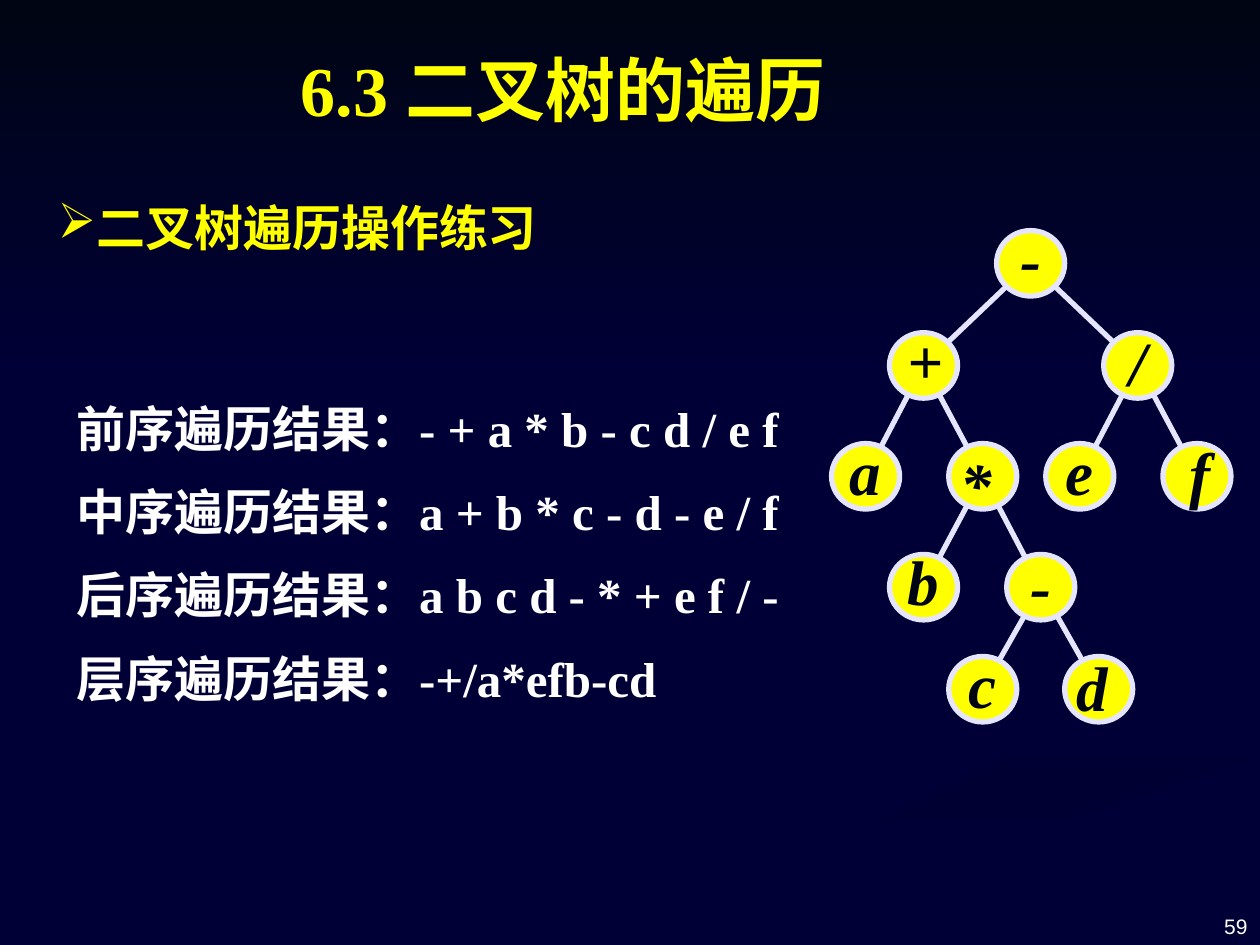
from typing import NamedTuple

from lxml import etree
from pptx import Presentation
from pptx.dml.color import RGBColor
from pptx.enum.shapes import MSO_CONNECTOR, MSO_SHAPE
from pptx.enum.text import MSO_ANCHOR, PP_ALIGN
from pptx.oxml.ns import qn
from pptx.util import Inches, Pt

LINE, OVAL = MSO_CONNECTOR.STRAIGHT, MSO_SHAPE.OVAL
TOP, MIDDLE, BOTTOM = MSO_ANCHOR.TOP, MSO_ANCHOR.MIDDLE, MSO_ANCHOR.BOTTOM
LEFT, CENTER, RIGHT = PP_ALIGN.LEFT, PP_ALIGN.CENTER, PP_ALIGN.RIGHT
JUSTIFY = PP_ALIGN.JUSTIFY
SERIF, SANS = "Times New Roman", "Arial"
NAVY, INK, YELLOW, WHITE, PALE = "000036", "000514", "FFFF00", "FFFFFF", "E5E5FF"
WIDE, HIGH = 0.54, 0.52
INSET = 0.13


class Wave(NamedTuple):
    start: str
    points: list[tuple[float, float]]


class Node(NamedTuple):
    text: str
    left: float
    level: int
    root: int | None
    shift: float = 0
    rise: float = 0.14


class Style(NamedTuple):
    size: float
    font: str
    color: str
    bold: bool = True
    italic: bool = False


WAVES = [
    Wave("000032", [(5.03, 7.49), (5.71, 7.49), (7.22, 6.82), (9.98, 6.09),
                    (9.98, 5.81), (7.64, 6.47), (5.99, 7.06)]),
    Wave(INK, [(0, 0), (0, 3.08), (10, 3.08), (10, 0)]),
]
LEVELS = [1.83, 2.64, 3.52, 4.4, 5.21]
NODES = [
    Node("-", 7.91, 0, None),
    Node("+", 7.06, 1, 0),
    Node("/", 8.76, 1, 0, rise=0.12),
    Node("a", 6.6, 2, 1),
    Node("*", 7.53, 2, 1, -0.05, 0.04),
    Node("e", 8.3, 2, 2),
    Node("f", 9.23, 2, 2, 0.02, 0.12),
    Node("b", 7.06, 3, 4),
    Node("-", 7.99, 3, 4, rise=0.11),
    Node("c", 7.53, 4, 8),
    Node("d", 8.45, 4, 8, -0.05, 0.11),
]
ORDERS = [
    "前序遍历结果：- + a * b - c d / e f",
    "中序遍历结果：a + b * c - d - e / f",
    "后序遍历结果：a b c d - * + e f / -",
    "层序遍历结果：-+/a*efb-cd",
]


def rgb(code: str) -> RGBColor:
    return RGBColor.from_string(code)


def add_wave(shapes, wave: Wave) -> None:
    """Draw a borderless outline that fades downwards into the background."""
    pen = shapes.build_freeform(*wave.points[0], scale=Inches(1))
    pen.add_line_segments(wave.points[1:], close=True)
    shape = pen.convert_to_shape()
    shape.shadow.inherit = False
    shape.line.fill.background()
    shape.fill.gradient()
    shape.fill.gradient_angle = 270
    for stop, code in zip(shape.fill.gradient_stops, (wave.start, NAVY)):
        stop.color.rgb = rgb(code)


def add_text(shapes, box, lines: list[str], style: Style, align=LEFT,
             anchor=TOP, wrap: bool = True, indent: float = 0,
             bullet: str = "") -> None:
    frame = shapes.add_textbox(*map(Inches, box)).text_frame
    frame.word_wrap = wrap
    frame.vertical_anchor = anchor
    for i, line in enumerate(lines):
        para = frame.paragraphs[0] if i == 0 else frame.add_paragraph()
        para.alignment = align
        if i:
            para.space_before = Pt(style.size / 2)
        props = para._p.get_or_add_pPr()
        if indent:
            props.set("marL", str(Inches(indent)))
            props.set("indent", "0")
        if bullet:
            etree.SubElement(props, qn("a:buChar")).set("char", bullet)
        run = para.add_run()
        run.text = line
        font = run.font
        font.size, font.name = Pt(style.size), style.font
        font.bold, font.italic = style.bold, style.italic
        font.color.rgb = rgb(style.color)


def center(node: Node) -> tuple[float, float]:
    return node.left + WIDE / 2, LEVELS[node.level] + HIGH / 2


def add_edge(shapes, root: Node, child: Node) -> None:
    """Join two nodes, starting and ending a little off their centres."""
    (x1, y1), (x2, y2) = center(root), center(child)
    dx, dy = (x2 - x1) * INSET, (y2 - y1) * INSET
    ends = (x1 + dx, y1 + dy, x2 - dx, y2 - dy)
    link = shapes.add_connector(LINE, *map(Inches, ends))
    link.line.color.rgb = rgb(PALE)
    link.line.width = Pt(3)
    etree.SubElement(link._element.spPr, qn("a:effectLst"))


def add_node(shapes, node: Node) -> None:
    top = LEVELS[node.level]
    oval = shapes.add_shape(OVAL, *map(Inches, (node.left, top, WIDE, HIGH)))
    oval.shadow.inherit = False
    oval.fill.solid()
    oval.fill.fore_color.rgb = rgb(YELLOW)
    oval.line.color.rgb = rgb(PALE)
    oval.line.width = Pt(3)
    width = 0.45
    left = node.left + (WIDE - width) / 2 + node.shift
    add_text(shapes, (left, top - node.rise, width, 0.7), [node.text],
             Style(36, SERIF, INK, italic=True), CENTER, MIDDLE, wrap=False)


def main() -> None:
    deck = Presentation()
    deck.slide_width, deck.slide_height = Inches(10), Inches(7.5)
    slide = deck.slides.add_slide(deck.slide_layouts[6])
    slide.background.fill.solid()
    slide.background.fill.fore_color.rgb = rgb(NAVY)
    shapes = slide.shapes
    for wave in WAVES:
        add_wave(shapes, wave)
    add_text(shapes, (7.67, 6.98, 2.33, 0.52), ["59"],
             Style(12, SANS, WHITE, bold=False), RIGHT, BOTTOM)
    for node in NODES:
        if node.root is not None:
            add_edge(shapes, NODES[node.root], node)
    for node in NODES:
        add_node(shapes, node)
    add_text(shapes, (0.36, 1.52, 4.74, 0.63), ["二叉树遍历操作练习"],
             Style(28, SANS, YELLOW), bullet="➢")
    add_text(shapes, (0.31, 3.11, 6.45, 2.67), ORDERS,
             Style(28, SERIF, WHITE), indent=0.2)
    add_text(shapes, (2.29, 0.32, 6.38, 0.77), ["6.3 二叉树的遍历"],
             Style(40, SERIF, YELLOW), JUSTIFY)
    deck.save("out.pptx")


if __name__ == "__main__":
    main()
